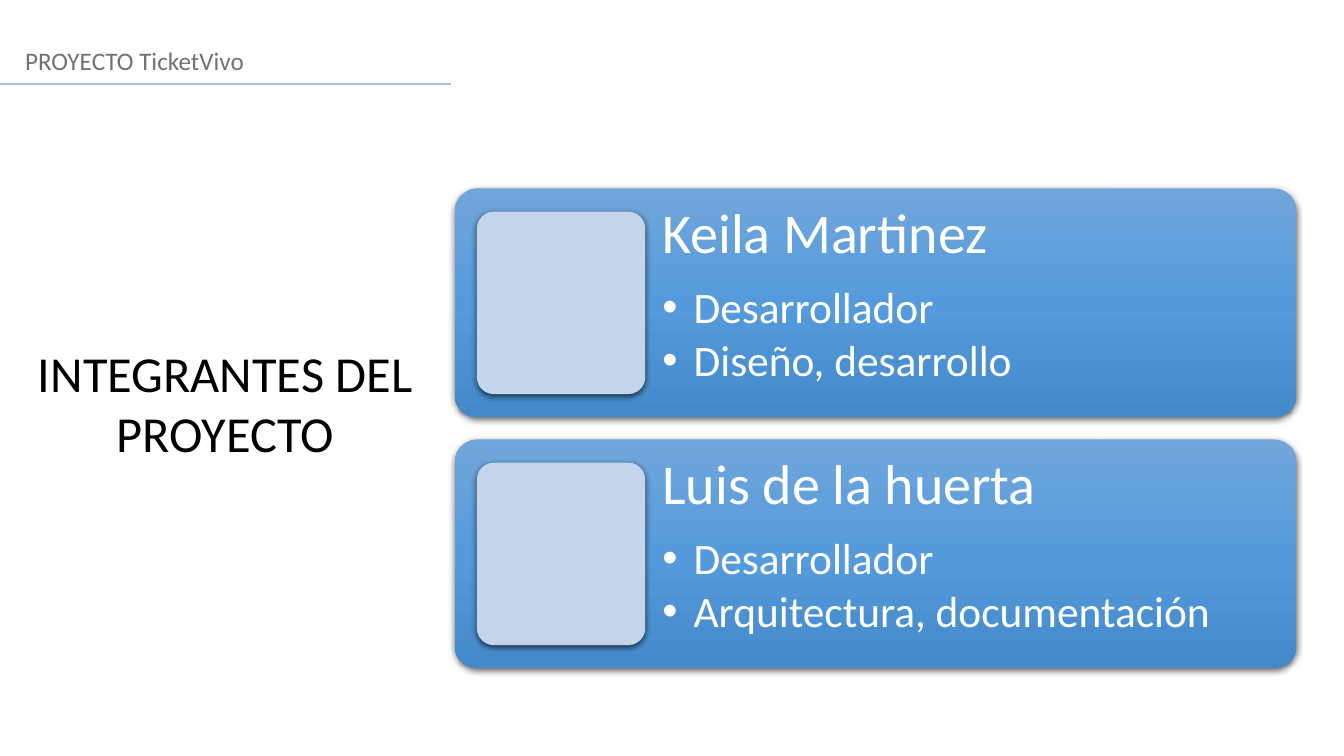
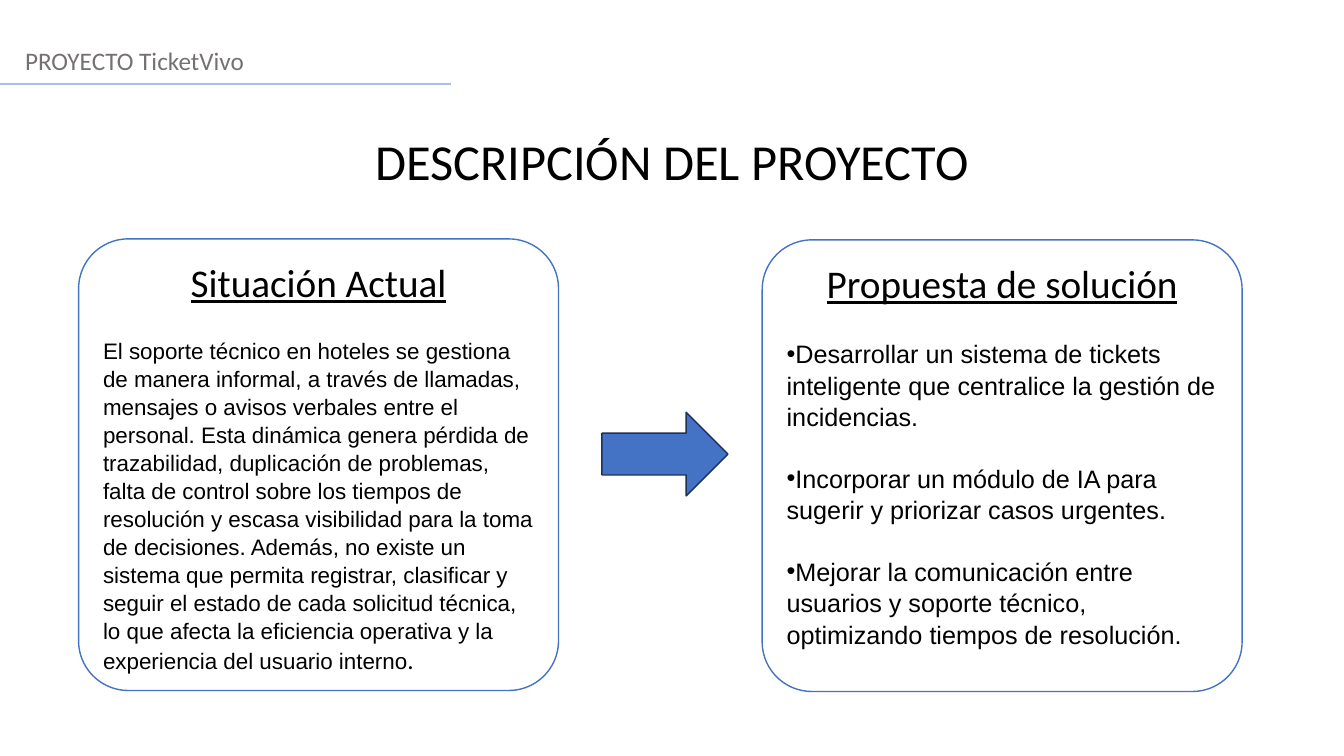
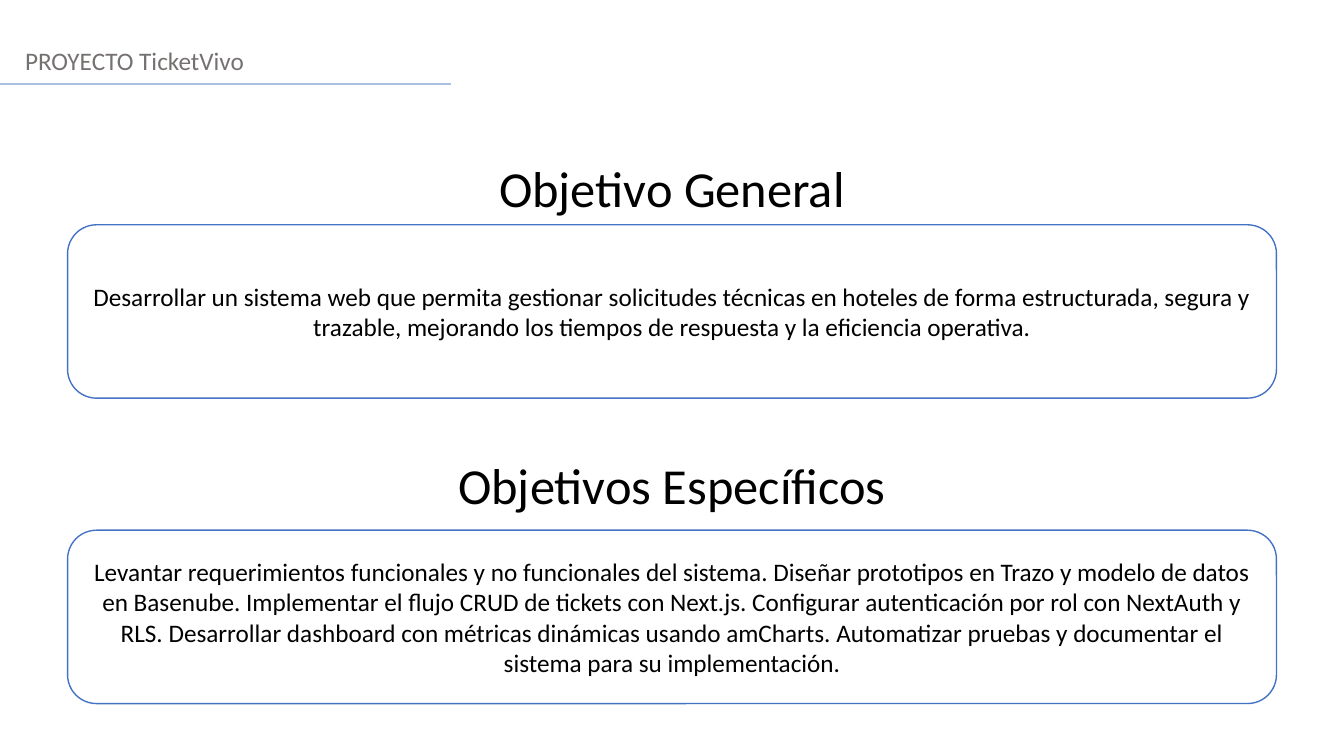
from copy import deepcopy

from pptx import Presentation
from pptx.dml.color import RGBColor
from pptx.enum.shapes import MSO_CONNECTOR, MSO_SHAPE
from pptx.enum.text import MSO_ANCHOR, PP_ALIGN
from pptx.oxml import parse_xml
from pptx.oxml.ns import nsdecls, qn
from pptx.oxml.xmlchemy import OxmlElement
from pptx.util import Inches, Pt

ROUNDED = MSO_SHAPE.ROUNDED_RECTANGLE
RIGHT_ARROW = MSO_SHAPE.RIGHT_ARROW
STRAIGHT = MSO_CONNECTOR.STRAIGHT
LEFT, CENTER = PP_ALIGN.LEFT, PP_ALIGN.CENTER
TOP, MIDDLE = MSO_ANCHOR.TOP, MSO_ANCHOR.MIDDLE
SLIDE_WIDTH, SLIDE_HEIGHT = 13.33, 7.5
COLORS = {
    "text": "000000",
    "white": "FFFFFF",
    "header": "767171",
    "rule": "ABC0E4",
    "accent": "4472C4",
    "arrow_edge": "1E3256",
    "portrait": "C4D5EB",
    "card_top": "71A6DB",
    "card_middle": "559BDB",
    "card_bottom": "448ACA",
}
MEMBERS = [
    ("Keila Martinez", ["Desarrollador", "Diseño, desarrollo"]),
    ("Luis de la huerta", ["Desarrollador", "Arquitectura, documentación"]),
]
CURRENT_SITUATION = (
    "El soporte técnico en hoteles se gestiona de manera informal, a través de "
    "llamadas, mensajes o avisos verbales entre el personal. Esta dinámica genera "
    "pérdida de trazabilidad, duplicación de problemas, falta de control sobre los "
    "tiempos de resolución y escasa visibilidad para la toma de decisiones. Además, "
    "no existe un sistema que permita registrar, clasificar y seguir el estado de "
    "cada solicitud técnica, lo que afecta la eficiencia operativa y la experiencia "
    "del usuario interno"
)
PROPOSALS = [
    "Desarrollar un sistema de tickets inteligente que centralice la gestión de incidencias.",
    "Incorporar un módulo de IA para sugerir y priorizar casos urgentes.",
    "Mejorar la comunicación entre usuarios y soporte técnico, optimizando tiempos de resolución.",
]
OBJECTIVES = [
    (
        "Objetivo General", 1.51, 2.23,
        "Desarrollar un sistema web que permita gestionar solicitudes técnicas en "
        "hoteles de forma estructurada, segura y trazable, mejorando los tiempos de "
        "respuesta y la eficiencia operativa.",
    ),
    (
        "Objetivos Específicos", 4.46, 5.26,
        "Levantar requerimientos funcionales y no funcionales del sistema. Diseñar "
        "prototipos en Trazo y modelo de datos en Basenube. Implementar el flujo CRUD "
        "de tickets con Next.js. Configurar autenticación por rol con NextAuth y RLS. "
        "Desarrollar dashboard con métricas dinámicas usando amCharts. Automatizar "
        "pruebas y documentar el sistema para su implementación.",
    ),
]


def rgb(name):
    return RGBColor.from_string(COLORS[name])


def add_run(paragraph, text, size=18, font="Calibri", color="text", underline=False):
    run = paragraph.add_run()
    run.text = text
    run.font.size = Pt(size)
    run.font.name = font
    run.font.color.rgb = rgb(color)
    run.font.underline = underline


def add_text(frame, text, align=LEFT, after=0, spacing=1.0, bullet=False, indent=0, **font):
    first = frame.paragraphs[0]
    paragraph = frame.add_paragraph() if first.runs else first
    paragraph.alignment = align
    paragraph.space_after = Pt(after)
    paragraph.line_spacing = spacing
    add_run(paragraph, text, **font)
    if bullet:
        properties = paragraph._p.get_or_add_pPr()
        properties.set("marL", str(Inches(indent)))
        properties.set("indent", str(-Inches(indent)))
        for tag, key, value in (("a:buFont", "typeface", "Arial"), ("a:buChar", "char", "•")):
            mark = OxmlElement(tag)
            mark.set(key, value)
            properties.append(mark)
    return paragraph


def add_frame(slide, left, top, width, height, inset=None):
    frame = slide.shapes.add_textbox(
        Inches(left), Inches(top), Inches(width), Inches(height)
    ).text_frame
    frame.word_wrap = True
    if inset is not None:
        frame.margin_left = frame.margin_right = Inches(inset)
        frame.margin_top = frame.margin_bottom = Inches(inset)
    return frame


def add_box(slide, kind, left, top, width, height, fill, line=None, corner=None):
    shape = slide.shapes.add_shape(
        kind, Inches(left), Inches(top), Inches(width), Inches(height)
    )
    shape.shadow.inherit = False
    shape.fill.solid()
    shape.fill.fore_color.rgb = rgb(fill)
    if line:
        shape.line.color.rgb = rgb(line)
        shape.line.width = Pt(1)
    else:
        shape.line.fill.background()
    if corner is not None:
        shape.adjustments[0] = corner
    return shape


def add_panel(slide, left, top, width, height, anchor=TOP, corner=None):
    panel = add_box(slide, ROUNDED, left, top, width, height, "white", "accent", corner)
    frame = panel.text_frame
    frame.word_wrap = True
    frame.vertical_anchor = anchor
    return frame


def add_drop_shadow(shape):
    effects = shape._element.spPr.find(qn("a:effectLst"))
    effects.append(parse_xml(
        f'<a:outerShdw {nsdecls("a")} blurRad="{Pt(4.5)}" dist="{Pt(1.5)}" '
        'dir="5400000" algn="ctr" rotWithShape="0"><a:srgbClr val="000000">'
        '<a:alpha val="63000"/></a:srgbClr></a:outerShdw>'
    ))


def set_card_gradient(shape):
    shape.fill.gradient()
    shape.fill.gradient_angle = 270
    stop_list = shape._element.spPr.find(".//" + qn("a:gsLst"))
    stop_list.append(deepcopy(stop_list[0]))
    names = ("card_top", "card_middle", "card_bottom")
    for index, (stop, name) in enumerate(zip(shape.fill.gradient_stops, names)):
        stop.position = index / 2
        stop.color.rgb = rgb(name)


def add_member_card(slide, top, name, roles):
    card = add_box(slide, ROUNDED, 4.51, top, 8.35, 2.27, "card_middle", corner=0.1)
    set_card_gradient(card)
    frame = add_frame(slide, 6.4, top, 6.45, 2.27, inset=0.17)
    add_text(frame, name, size=40, color="white", spacing=0.9, after=14)
    for role in roles:
        add_text(frame, role, size=31, color="white", spacing=0.9, after=4.65,
                 bullet=True, indent=0.31)
    portrait = add_box(slide, ROUNDED, 4.73, top + 0.23, 1.67, 1.81, "portrait", corner=0.1)
    for shape in (card, portrait):
        add_drop_shadow(shape)


def add_title(slide, text, top, left=0, width=SLIDE_WIDTH, height=0.71):
    add_text(add_frame(slide, left, top, width, height), text, size=36, align=CENTER)


def add_base_slide(presentation):
    slide = presentation.slides.add_slide(presentation.slide_layouts[6])
    add_text(add_frame(slide, 0.15, 0.4, SLIDE_WIDTH, 0.4), "PROYECTO TicketVivo", color="header")
    rule = slide.shapes.add_connector(
        STRAIGHT, Inches(0), Inches(0.83), Inches(4.47), Inches(0.83)
    )
    rule.line.color.rgb = rgb("rule")
    rule.line.width = Pt(1.25)
    rule._element.spPr.append(OxmlElement("a:effectLst"))
    return slide


def build_team(presentation):
    slide = add_base_slide(presentation)
    add_title(slide, "INTEGRANTES DEL PROYECTO", 3.34, left=0.26, width=3.95, height=1.31)
    for index, (name, roles) in enumerate(MEMBERS):
        add_member_card(slide, 1.87 + index * 2.49, name, roles)


def build_description(presentation):
    slide = add_base_slide(presentation)
    add_title(slide, "DESCRIPCIÓN DEL PROYECTO", 1.24)
    heading = {"size": 28, "underline": True, "align": CENTER, "after": 22}
    body = {"font": "Arial", "spacing": 1.04}

    situation = add_panel(slide, 0.78, 2.37, 4.76, 4.48, corner=0.11)
    add_text(situation, "Situación Actual", **heading)
    add_run(add_text(situation, CURRENT_SITUATION, size=16, **body), ".")

    solution = add_panel(slide, 7.56, 2.38, 4.76, 4.48, corner=0.11)
    add_text(solution, "Propuesta de solución", **heading)
    for proposal in PROPOSALS:
        add_text(solution, proposal, bullet=True, after=21.6, **body)

    add_box(slide, RIGHT_ARROW, 5.97, 4.09, 1.25, 0.83, "accent", "arrow_edge")


def build_objectives(presentation):
    slide = add_base_slide(presentation)
    for title, title_top, panel_top, text in OBJECTIVES:
        add_title(slide, title, title_top)
        panel = add_panel(slide, 0.67, panel_top, 11.99, 1.72, anchor=MIDDLE)
        add_text(panel, text, align=CENTER)


def main():
    presentation = Presentation()
    presentation.slide_width = Inches(SLIDE_WIDTH)
    presentation.slide_height = Inches(SLIDE_HEIGHT)
    build_team(presentation)
    build_description(presentation)
    build_objectives(presentation)
    presentation.save("out.pptx")


if __name__ == "__main__":
    main()
